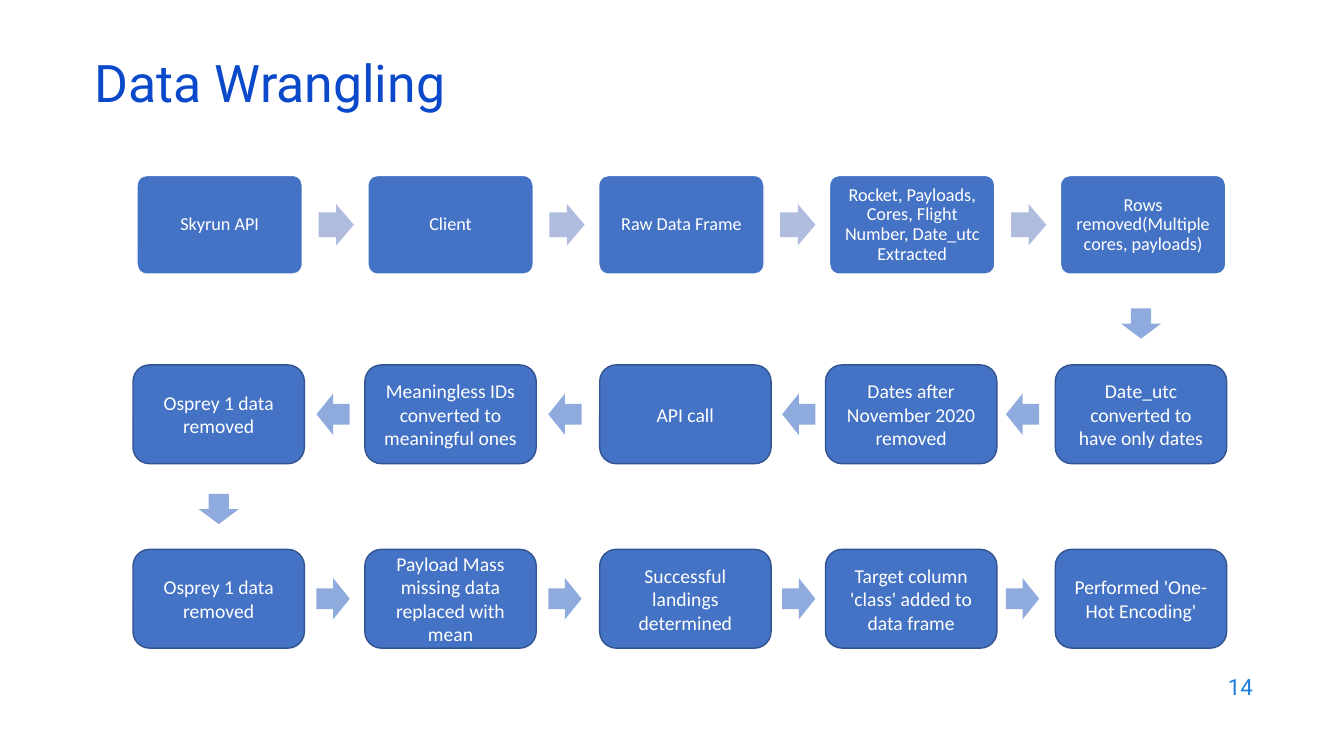
from dataclasses import dataclass

from pptx import Presentation
from pptx.dml.color import RGBColor
from pptx.enum.shapes import MSO_SHAPE
from pptx.enum.text import MSO_ANCHOR, MSO_AUTO_SIZE, PP_ALIGN
from pptx.util import Pt

ROUNDED = MSO_SHAPE.ROUNDED_RECTANGLE
RIGHT = MSO_SHAPE.RIGHT_ARROW
LEFT = MSO_SHAPE.LEFT_ARROW
DOWN = MSO_SHAPE.DOWN_ARROW
MIDDLE = MSO_ANCHOR.MIDDLE
NO_FIT = MSO_AUTO_SIZE.NONE
ALIGN_LEFT, ALIGN_CENTER, ALIGN_RIGHT = PP_ALIGN.LEFT, PP_ALIGN.CENTER, PP_ALIGN.RIGHT

COLORS = {
    "title": "0B49CB",
    "number": "1C7DDB",
    "step": "4472C4",
    "step_edge": "325491",
    "pale_arrow": "B0BCDE",
    "arrow": "8FAADC",
    "white": "FFFFFF",
}
STEP_HEIGHT = 70.56
ARROW_HEIGHT = 29.52
TITLE_ONLY = 5


@dataclass(frozen=True)
class StepStyle:
    width: float
    edge: str
    corner: float
    size: float
    inset: float
    spacing: float
    arrow_width: float
    arrow_color: str
    arrow_waist: float


@dataclass(frozen=True)
class FlowRow:
    top: float
    steps: list[str]
    lefts: list[float]
    arrow_lefts: list[float]
    arrow: MSO_SHAPE
    style: StepStyle


COMPACT = StepStyle(118.08, "white", 0.1, 13, 3.6, 0.9, 25.2, "pale_arrow", 0.6)
ROOMY = StepStyle(122.4, "step_edge", 0.16667, 14, 7.2, 1.0, 23.76, "arrow", 0.5)

COMPACT_LEFTS = [97.92 + 164.88 * column for column in range(5)]
COMPACT_ARROWS = [227.52 + 164.88 * column for column in range(4)]
ROOMY_LEFTS = [95.04, 260.64, 428.4, 589.68, 753.84]
ROOMY_ARROWS = [226.08, 391.68, 558.72, 718.56]

ROWS = [
    FlowRow(125.28, [
        "Skyrun API",
        "Client",
        "Raw Data Frame",
        "Rocket, Payloads, Cores, Flight Number, Date_utc Extracted",
        "Rows removed(Multiple cores, payloads)",
    ], COMPACT_LEFTS, COMPACT_ARROWS, RIGHT, COMPACT),
    FlowRow(260.64, [
        "Osprey 1 data removed",
        "Meaningless IDs converted to meaningful ones",
        "API call",
        "Dates after November 2020 removed",
        "Date_utc converted to have only dates",
    ], ROOMY_LEFTS, ROOMY_ARROWS, LEFT, ROOMY),
    FlowRow(392.4, [
        "Osprey 1 data removed",
        "Payload Mass missing data replaced with mean",
        "Successful landings determined",
        "Target column 'class' added to data frame",
        "Performed 'One-Hot Encoding'",
    ], ROOMY_LEFTS, ROOMY_ARROWS, RIGHT, ROOMY),
]
ROW_LINKS = [(800.64, 220.32), (141.84, 352.8)]


def rgb(name: str) -> RGBColor:
    return RGBColor.from_string(COLORS[name])


def write(box, text: str, font: str, size: float, color: str,
          align: PP_ALIGN, spacing: float = 1.0) -> None:
    frame = box.text_frame
    frame.text = text
    frame.word_wrap = True
    frame.auto_size = NO_FIT
    frame.vertical_anchor = MIDDLE
    para = frame.paragraphs[0]
    para.alignment = align
    para.line_spacing = spacing
    span = para.runs[0]
    span.font.name = font
    span.font.size = Pt(size)
    span.font.color.rgb = rgb(color)


def add_filled(page, kind: MSO_SHAPE, left: float, top: float,
               width: float, height: float, color: str):
    shape = page.shapes.add_shape(kind, Pt(left), Pt(top), Pt(width), Pt(height))
    shape.shadow.inherit = False
    shape.fill.solid()
    shape.fill.fore_color.rgb = rgb(color)
    shape.line.fill.background()
    return shape


def add_step(page, text: str, left: float, top: float, style: StepStyle) -> None:
    box = add_filled(page, ROUNDED, left, top, style.width, STEP_HEIGHT, "step")
    box.adjustments[0] = style.corner
    box.line.color.rgb = rgb(style.edge)
    box.line.width = Pt(1)
    write(box, text, "Calibri", style.size, "white", ALIGN_CENTER, style.spacing)
    frame = box.text_frame
    frame.margin_left = frame.margin_right = Pt(style.inset)
    frame.margin_top = frame.margin_bottom = Pt(3.6)


def add_row(page, row: FlowRow) -> None:
    style = row.style
    for text, left in zip(row.steps, row.lefts):
        add_step(page, text, left, row.top, style)
    arrow_top = row.top + (STEP_HEIGHT - ARROW_HEIGHT) / 2
    for left in row.arrow_lefts:
        arrow = add_filled(page, row.arrow, left, arrow_top,
                           style.arrow_width, ARROW_HEIGHT, style.arrow_color)
        arrow.adjustments[0] = style.arrow_waist


def main() -> None:
    deck = Presentation()
    deck.slide_width, deck.slide_height = Pt(960), Pt(540)
    page = deck.slides.add_slide(deck.slide_layouts[TITLE_ONLY])

    # Title
    title = page.shapes.title
    title.left, title.top = Pt(60.48), Pt(42.48)
    title.width, title.height = Pt(828), Pt(43.2)
    write(title, "Data Wrangling", "Roboto", 37, "title", ALIGN_LEFT, 0.7)

    # Rows of steps, and the arrows that lead down to the next row
    for row in ROWS:
        add_row(page, row)
    for left, top in ROW_LINKS:
        add_filled(page, DOWN, left, top, 28.8, 21.6, "arrow")

    # Page number
    number = page.shapes.add_textbox(Pt(686.16), Pt(474.48), Pt(216), Pt(31.68))
    write(number, "14", "Roboto", 16, "number", ALIGN_RIGHT)

    deck.save("out.pptx")


if __name__ == "__main__":
    main()
